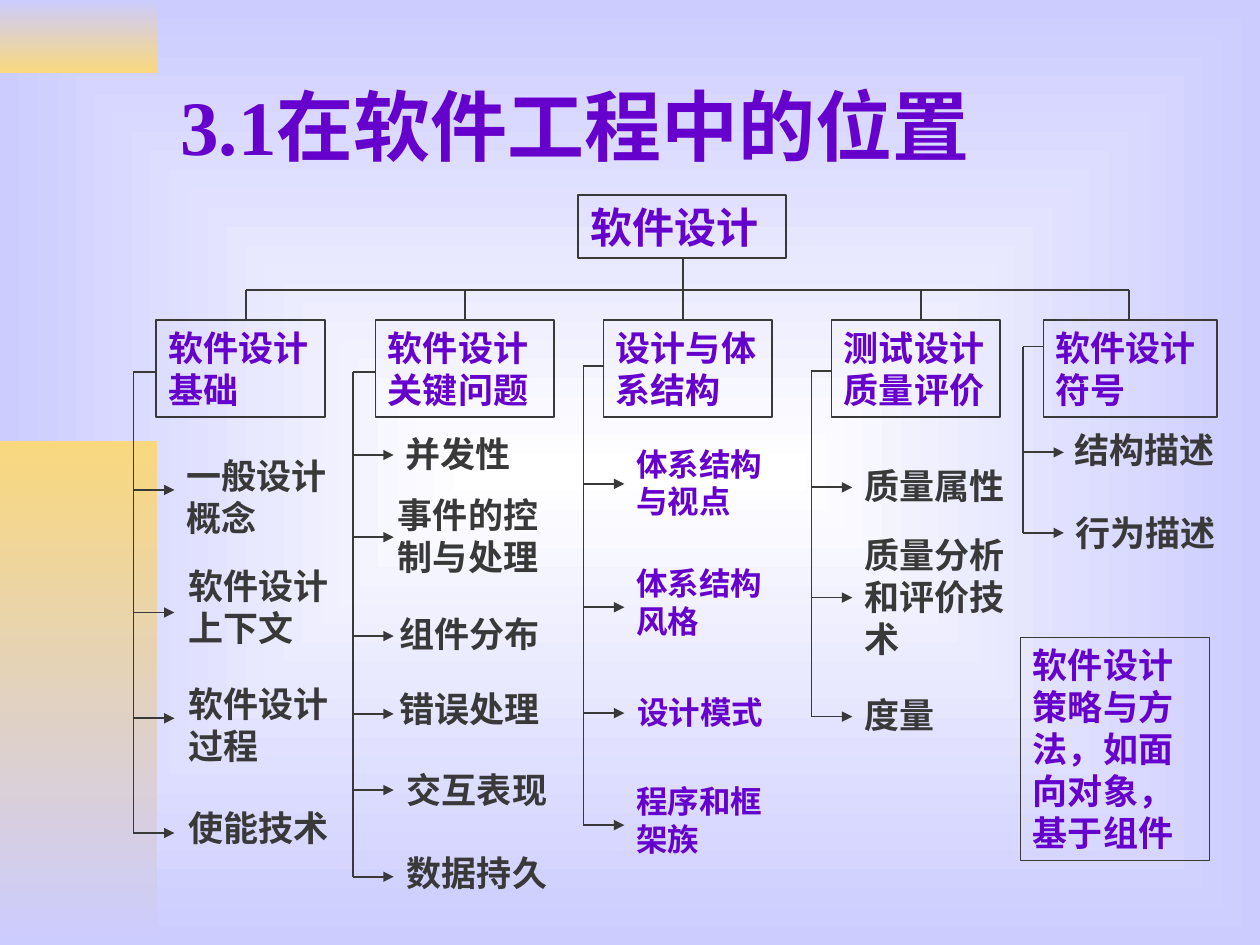
from dataclasses import dataclass

from lxml import etree
from pptx import Presentation
from pptx import util as u
from pptx.dml.color import RGBColor
from pptx.enum import shapes, text
from pptx.oxml.ns import qn

Pt = u.Pt


@dataclass(frozen=True)
class Theme:
    font: str = "Times New Roman"
    purple: str = "6600CC"
    dark: str = "393939"
    lilac: str = "CCCCFF"
    gold: str = "F9D87E"
    white: str = "FFFFFF"
    title_size: float = 44
    root_size: float = 24
    body_size: float = 20
    small_size: float = 18
    line_width: float = 1


THEME = Theme()


@dataclass(frozen=True)
class Box:
    left: float
    top: float
    width: float
    height: float

    def lengths(self):
        return Pt(self.left), Pt(self.top), Pt(self.width), Pt(self.height)


def color(value):
    return RGBColor.from_string(value)


def set_gradient(fill, first, last):
    fill.gradient()
    for stop, value in zip(fill.gradient_stops, (first, last)):
        stop.color.rgb = color(value)


def write_text(shape, words, size, ink):
    frame = shape.text_frame
    frame.word_wrap = True
    frame.auto_size = text.MSO_AUTO_SIZE.NONE
    paragraph = frame.paragraphs[0]
    paragraph.alignment = text.PP_ALIGN.LEFT
    run = paragraph.add_run()
    run.text = words
    run.font.name = THEME.font
    run.font.size = Pt(size)
    run.font.bold = True
    run.font.color.rgb = color(ink)


def add_label(slide, box, words, size, ink):
    write_text(slide.shapes.add_textbox(*box.lengths()), words, size, ink)


def add_framed(slide, box, words, size):
    shape = slide.shapes.add_shape(shapes.MSO_SHAPE.RECTANGLE, *box.lengths())
    shape.shadow.inherit = False
    shape.fill.background()
    shape.line.color.rgb = color(THEME.dark)
    shape.line.width = Pt(THEME.line_width)
    shape.text_frame.vertical_anchor = text.MSO_ANCHOR.TOP
    write_text(shape, words, size, THEME.purple)


def add_line(slide, x1, y1, x2, y2, arrow=False):
    line = slide.shapes.add_connector(
        shapes.MSO_CONNECTOR.STRAIGHT, Pt(x1), Pt(y1), Pt(x2), Pt(y2))
    line.line.color.rgb = color(THEME.dark)
    line.line.width = Pt(THEME.line_width)
    if arrow:
        etree.SubElement(line.line._get_or_add_ln(), qn("a:tailEnd"), type="triangle")
    etree.SubElement(line._element.spPr, qn("a:effectLst"))


def add_background(slide):
    set_gradient(slide.background.fill, THEME.white, THEME.lilac)
    gradient = slide._element.find(".//" + qn("a:gradFill"))
    gradient.remove(gradient.find(qn("a:lin")))
    shade = etree.SubElement(gradient, qn("a:path"), path="rect")
    etree.SubElement(shade, qn("a:fillToRect"), l="50000", t="50000", r="50000", b="50000")


def add_side_band(slide, box, first, last):
    band = slide.shapes.add_shape(shapes.MSO_SHAPE.RECTANGLE, *box.lengths())
    band.shadow.inherit = False
    band.line.fill.background()
    set_gradient(band.fill, first, last)
    band.fill.gradient_angle = 270


def add_title(slide, box, words):
    title = slide.shapes.title
    title.left, title.top, title.width, title.height = box.lengths()
    title.text_frame.vertical_anchor = text.MSO_ANCHOR.MIDDLE
    write_text(title, words, THEME.title_size, THEME.purple)


def add_root(slide, box, words, drops, bus_y, bottom):
    """Root box, the bus below it and a drop to each branch."""
    add_framed(slide, box, words, THEME.root_size)
    add_line(slide, drops[0], bus_y, drops[-1], bus_y)
    for x in drops:
        add_line(slide, x, bus_y, x, bottom)
    center = drops[len(drops) // 2]
    add_line(slide, center, box.top + box.height, center, bus_y)


def add_branch(slide, box, branch):
    """Heading box with a trunk at its left and an arrow to each topic."""
    heading, trunk_gap, join, size, ink, topics = branch
    add_framed(slide, box, heading, THEME.body_size)
    trunk = box.left - trunk_gap
    add_line(slide, trunk, box.top + join, box.left, box.top + join)
    add_line(slide, trunk, box.top + join, trunk, box.top + topics[-1][1])
    for words, arrow, dx, dy, width, rows in topics:
        y = box.top + arrow
        add_line(slide, trunk, y, trunk + 23.4, y, arrow=True)
        label = Box(box.left + dx, box.top + dy, width, 7.2 + rows * size * 1.2)
        add_label(slide, label, words, size, ink)


# Box left, width, drop x, then (heading, trunk gap, join, size, colour, topics);
# a topic is (words, arrow y, text x, text y, width, rows) from the heading box
BODY = (THEME.body_size, THEME.dark)
SMALL = (THEME.small_size, THEME.purple)
BRANCHES = [
    (89.3, 96.5, 140.4, ("软件设计基础", 13, 29.5, *BODY, [
        ("一般设计概念", 97, 10, 73.3, 98, 2),
        ("软件设计上下文", 167, 11.5, 136, 98, 2),
        ("软件设计过程", 227.5, 11.5, 203.6, 98, 2),
        ("使能技术", 293, 11.5, 274.2, 98, 1)])),
    (214.6, 102.2, 265.7, ("软件设计关键问题", 13, 29.5, *BODY, [
        ("并发性", 77, 10, 60.5, 98, 1),
        ("事件的控制与处理", 124, 5.7, 95.5, 98, 2),
        ("组件分布", 180.5, 6.4, 163.5, 98, 1),
        ("错误处理", 225, 6.4, 206.5, 98, 1),
        ("交互表现", 268.5, 10.8, 252.5, 98, 1),
        ("数据持久", 318, 10.8, 300, 98, 1)])),
    (344.9, 96.5, 390.2, ("设计与体系结构", 11.5, 26, *SMALL, [
        ("体系结构与视点", 93.5, 11.5, 67.5, 96.5, 2),
        ("体系结构风格", 164, 11.5, 136, 96.5, 2),
        ("设计模式", 224.5, 12.2, 209.5, 96.5, 1),
        ("程序和框架族", 288.5, 11.5, 260.5, 102.2, 2)])),
    (475.2, 96.5, 526.3, ("测试设计质量评价", 11.5, 29, *BODY, [
        ("质量属性", 95.5, 11.5, 79, 98, 1),
        ("质量分析和评价技术", 158.5, 11.5, 118.5, 113, 3),
        ("度量", 226.5, 11.5, 209.5, 98, 1)])),
    (596.2, 99.4, 645.1, ("软件设计符号", 11.6, 15, *BODY, [
        ("结构描述", 75.5, 10.8, 58.5, 98, 1),
        ("行为描述", 121.5, 11.5, 106, 98, 1)])),
]


def main():
    presentation = Presentation()
    presentation.slide_width, presentation.slide_height = Pt(720), Pt(540)
    slide = presentation.slides.add_slide(presentation.slide_layouts[5])

    # Backdrop and title
    add_background(slide)
    add_side_band(slide, Box(0, 0, 90, 41.8), THEME.lilac, THEME.gold)
    add_side_band(slide, Box(0, 252, 90, 288), THEME.gold, THEME.lilac)
    add_title(slide, Box(95.8, 23.8, 612, 95), "3.1在软件工程中的位置")

    # Topic tree
    branch_top = 183
    drops = [drop for _, _, drop, _ in BRANCHES]
    add_root(slide, Box(330.5, 111.6, 118.8, 36), "软件设计", drops, 165.6, branch_top)
    for left, width, _, branch in BRANCHES:
        add_branch(slide, Box(left, branch_top, width, 55.4), branch)

    # Separate strategy box
    add_framed(slide, Box(583.2, 364.3, 108, 127.4),
               "软件设计策略与方法，如面向对象，基于组件", THEME.body_size)

    presentation.save("out.pptx")


if __name__ == "__main__":
    main()
